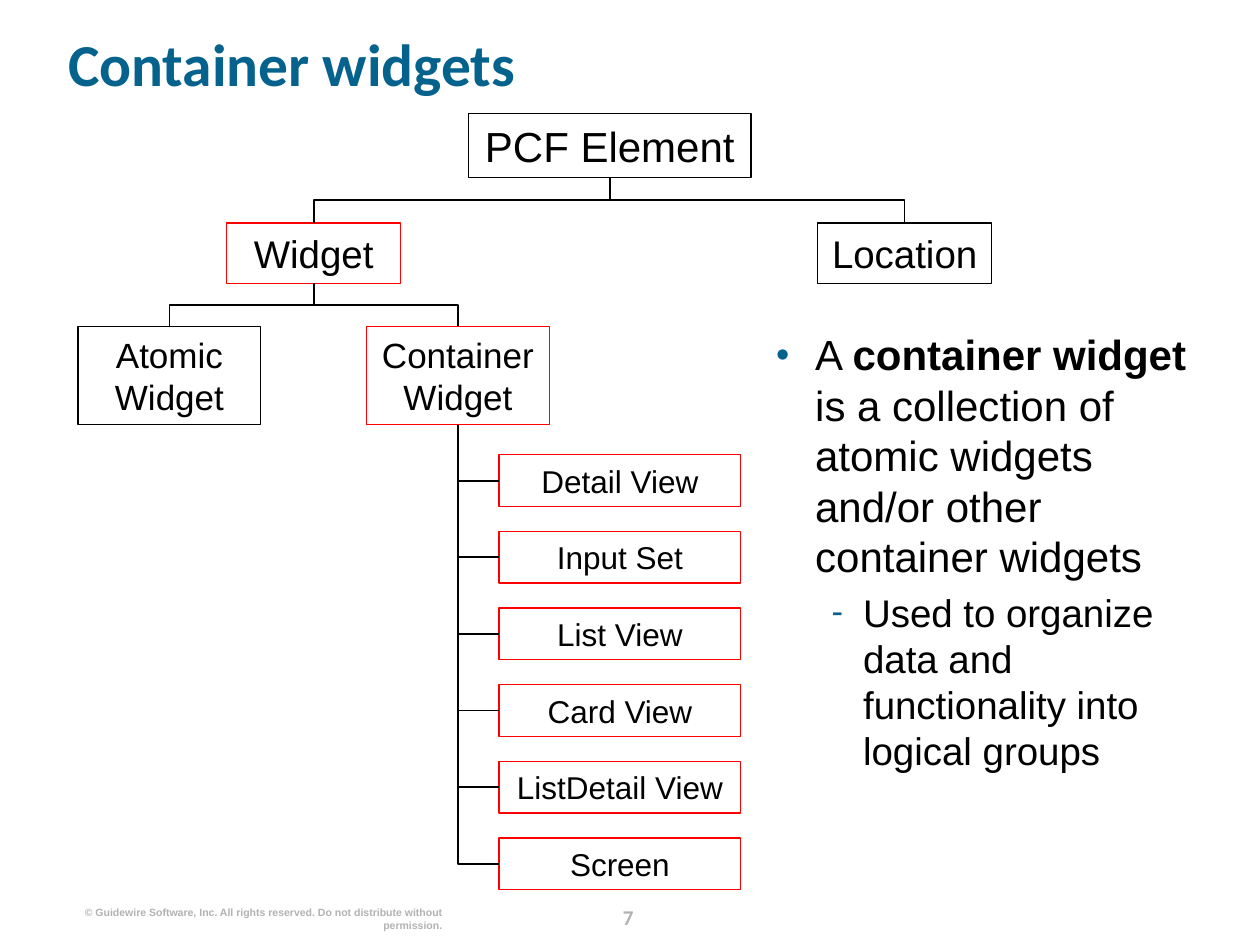
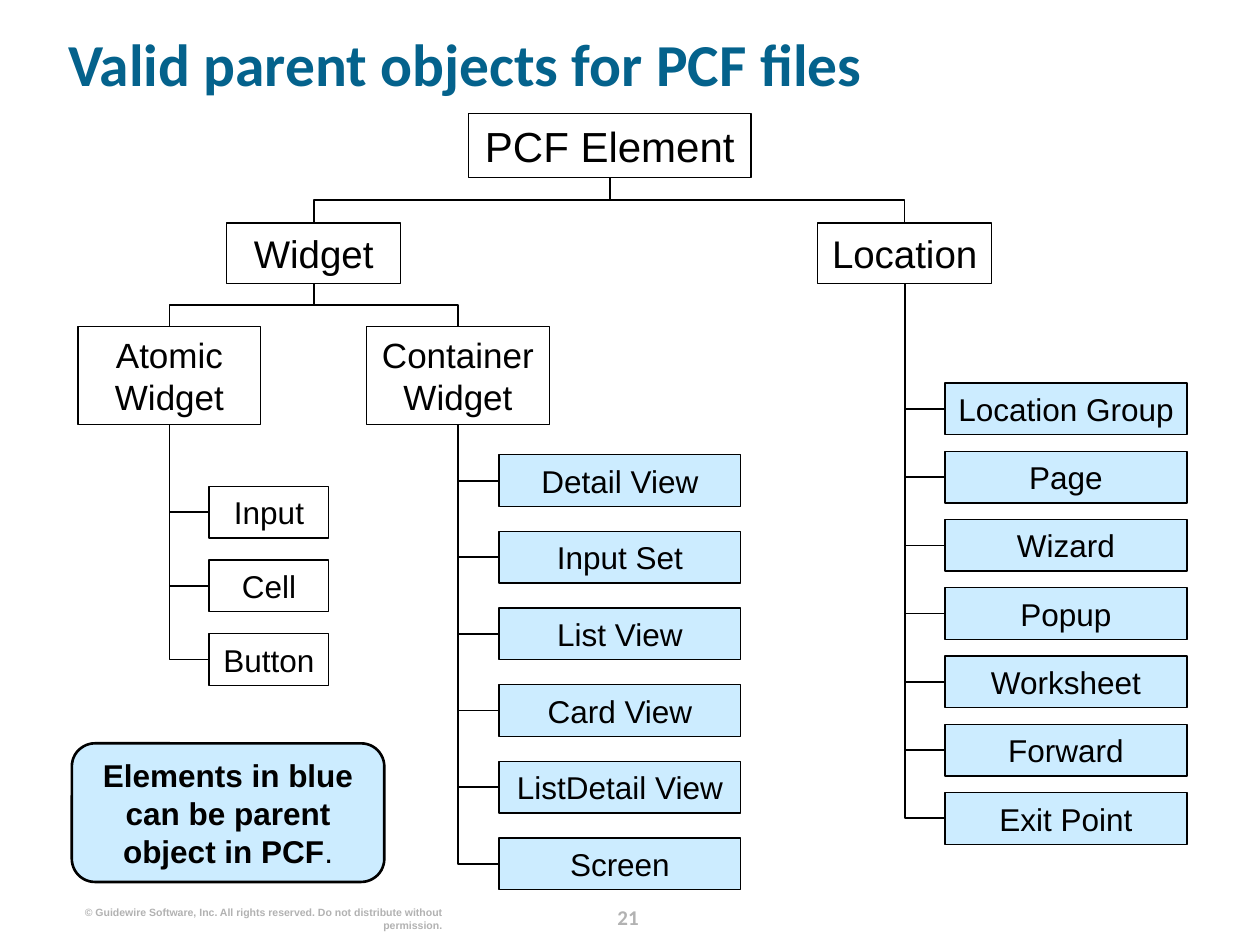
from dataclasses import dataclass

from lxml import etree
from pptx import Presentation
from pptx.dml.color import RGBColor
from pptx.enum import shapes, text
from pptx.oxml import ns
from pptx.util import Inches, Pt

BLACK, RED, TEAL, GREY, PALE_BLUE = "000000", "FF0000", "04628C", "B2B2B2", "CCECFF"
BODY_FONT, HEADING_FONT = "Arial", "Calibri"
COPYRIGHT = "© Guidewire Software, Inc. All rights reserved. Do not distribute without permission."
BOTTOM, LEFT_SIDE, TOP = 2, 1, 0  # connection sites of a rectangle


@dataclass(frozen=True)
class Box:
    left: float
    top: float
    width: float
    height: float

    def emu(self):
        return [Inches(side) for side in (self.left, self.top, self.width, self.height)]


@dataclass(frozen=True)
class Node:
    label: str
    box: Box
    size: int
    parent: str = ""


@dataclass(frozen=True)
class Column:
    """Equal boxes hanging below a parent, spread evenly from first_top to last_top."""
    parent: str
    left: float
    width: float
    first_top: float
    last_top: float
    labels: tuple[str, ...]

    def nodes(self) -> list[Node]:
        pitch = (self.last_top - self.first_top) / (len(self.labels) - 1)
        return [Node(label, Box(self.left, self.first_top + i * pitch, self.width, 0.41), 18)
                for i, label in enumerate(self.labels)]


TREE = (
    Node("PCF Element", Box(3.72, 0.9, 2.24, 0.51), 24),
    Node("Widget", Box(1.8, 1.77, 1.38, 0.48), 22, "PCF Element"),
    Node("Location", Box(6.49, 1.77, 1.38, 0.48), 22, "PCF Element"),
    Node("Atomic Widget", Box(0.62, 2.59, 1.45, 0.78), 20, "Widget"),
    Node("Container Widget", Box(2.91, 2.59, 1.45, 0.78), 20, "Widget"),
)
CONTAINERS = Column("Container Widget", 3.96, 1.92, 3.61, 6.65, (
    "Detail View", "Input Set", "List View", "Card View", "ListDetail View", "Screen"))
ATOMS = Column("Atomic Widget", 1.66, 0.95, 3.86, 5.03, ("Input", "Cell", "Button"))
LOCATIONS = Column("Location", 7.5, 1.92, 3.04, 6.29, (
    "Location Group", "Page", "Wizard", "Popup", "Worksheet", "Forward", "Exit Point"))


def rgb(value: str) -> RGBColor:
    return RGBColor.from_string(value)


def add_run(paragraph, content: str, size: float, color: str = BLACK,
            bold: bool = False, font: str = BODY_FONT) -> None:
    run = paragraph.add_run()
    run.text = content
    run.font.name, run.font.size, run.font.bold = font, Pt(size), bold
    run.font.color.rgb = rgb(color)


def prepare_frame(frame, anchor=text.MSO_ANCHOR.TOP) -> None:
    """Remove the insets and wrap the text."""
    frame.margin_left = frame.margin_right = frame.margin_top = frame.margin_bottom = 0
    frame.word_wrap = True
    frame.auto_size = text.MSO_AUTO_SIZE.NONE
    frame.vertical_anchor = anchor


def place(shape, box: Box) -> None:
    shape.left, shape.top, shape.width, shape.height = box.emu()


def add_footer_text(slide, box: Box, alignment):
    frame = slide.shapes.add_textbox(*box.emu()).text_frame
    prepare_frame(frame)
    frame.paragraphs[0].alignment = alignment
    return frame.paragraphs[0]


def add_slide(presentation, layout: int, title: str, number: int):
    slide = presentation.slides.add_slide(presentation.slide_layouts[layout])
    heading = slide.shapes.title
    place(heading, Box(0.54, 0.13, 9.1, 0.81))
    prepare_frame(heading.text_frame, text.MSO_ANCHOR.MIDDLE)
    paragraph = heading.text_frame.paragraphs[0]
    paragraph.alignment = text.PP_ALIGN.LEFT
    paragraph.line_spacing = 0.9
    add_run(paragraph, title, 34, TEAL, True, HEADING_FONT)

    paragraph = add_footer_text(slide, Box(4.7, 7.13, 0.57, 0.25), text.PP_ALIGN.CENTER)
    paragraph.line_spacing = Pt(18)
    add_run(paragraph, str(number), 12, GREY, True, HEADING_FONT)
    paragraph = add_footer_text(slide, Box(0.61, 7.19, 2.9, 0.2), text.PP_ALIGN.RIGHT)
    add_run(paragraph, COPYRIGHT, 6, GREY, True)
    return slide


def add_panel(slide, kind, box: Box, line: str, weight: float, fill: str = ""):
    shape = slide.shapes.add_shape(kind, *box.emu())
    shape.shadow.inherit = False
    if fill:
        shape.fill.solid()
        shape.fill.fore_color.rgb = rgb(fill)
    else:
        shape.fill.background()
    shape.line.color.rgb = rgb(line)
    shape.line.width = Pt(weight)
    shape.text_frame.word_wrap = True
    shape.text_frame.vertical_anchor = text.MSO_ANCHOR.MIDDLE
    shape.text_frame.paragraphs[0].alignment = text.PP_ALIGN.CENTER
    return shape


def add_node(slide, node: Node, line: str = BLACK, fill: str = ""):
    shape = add_panel(slide, shapes.MSO_SHAPE.RECTANGLE, node.box, line, 0.75, fill)
    shape.text_frame.auto_size = text.MSO_AUTO_SIZE.SHAPE_TO_FIT_TEXT
    add_run(shape.text_frame.paragraphs[0], node.label, node.size)
    return shape


def connect(slide, parent, child, site: int) -> None:
    """Draw an elbow from the bottom of parent to the top or left side of child."""
    start_x, start_y = parent.left + parent.width // 2, parent.top + parent.height
    if site == TOP:
        end_x, end_y = child.left + child.width // 2, child.top
    else:
        end_x, end_y = child.left, child.top + child.height // 2
    connector = slide.shapes.add_connector(
        shapes.MSO_CONNECTOR.ELBOW, start_x, start_y, end_x, end_y)
    connector.begin_connect(parent, BOTTOM)
    connector.end_connect(child, site)
    connector.line.color.rgb = rgb(BLACK)
    connector.line.width = Pt(1)

    # The elbow leaves downwards, so its frame is a quarter turn of the area it spans.
    drop, run = end_y - start_y, abs(end_x - start_x)
    connector.left = (start_x + end_x - drop) // 2
    connector.top = (start_y + end_y - run) // 2
    connector.width, connector.height = drop, run
    properties = connector._element.spPr
    frame = properties.find(ns.qn("a:xfrm"))
    for name in ("flipH", "flipV"):
        frame.attrib.pop(name, None)
    if end_x < start_x:
        frame.set("rot", "5400000")
    else:
        frame.set("rot", "16200000")
        frame.set("flipH", "1")
    if site == LEFT_SIDE:
        properties.find(ns.qn("a:prstGeom")).set("prst", "bentConnector2")
    etree.SubElement(properties, ns.qn("a:effectLst"))


def add_tree(slide, highlighted: tuple[str, ...] = ()) -> dict:
    """Draw the top levels and return their shapes by label."""
    drawn = {}
    for node in TREE:
        drawn[node.label] = add_node(slide, node, RED if node.label in highlighted else BLACK)
        if node.parent:
            connect(slide, drawn[node.parent], drawn[node.label], TOP)
    return drawn


def add_column(slide, tree: dict, column: Column, line: str = BLACK, fill: str = "") -> None:
    for node in column.nodes():
        connect(slide, tree[column.parent], add_node(slide, node, line, fill), LEFT_SIDE)


def format_bullet(paragraph, mark: str, margin: float, hanging: float) -> None:
    properties = paragraph._p.get_or_add_pPr()
    properties.set("marL", str(Inches(margin)))
    properties.set("indent", str(-Inches(hanging)))
    color = etree.SubElement(properties, ns.qn("a:buClr"))
    etree.SubElement(color, ns.qn("a:srgbClr"), val=TEAL)
    etree.SubElement(properties, ns.qn("a:buSzPct"), val="90000")
    etree.SubElement(properties, ns.qn("a:buFont"), typeface=BODY_FONT)
    etree.SubElement(properties, ns.qn("a:buChar"), char=mark)


def build_container_slide(presentation) -> None:
    slide = add_slide(presentation, 1, "Container widgets", 7)
    body = slide.placeholders[1]
    place(body, Box(6.16, 2.61, 3.51, 4.38))
    prepare_frame(body.text_frame)
    definition = body.text_frame.paragraphs[0]
    format_bullet(definition, "•", 0.31, 0.31)
    definition.space_before = Pt(0)
    add_run(definition, "A ", 24)
    add_run(definition, "container widget", 24, bold=True)
    add_run(definition, " is a collection of atomic widgets and/or other container widgets", 24)
    purpose = body.text_frame.add_paragraph()
    purpose.level = 1
    format_bullet(purpose, "-", 0.69, 0.25)
    purpose.space_before = Pt(4.4)
    add_run(purpose, "Used to organize data and functionality into logical groups", 22)

    tree = add_tree(slide, ("Widget", "Container Widget"))
    add_column(slide, tree, CONTAINERS, RED)


def build_parent_slide(presentation) -> None:
    slide = add_slide(presentation, 5, "Valid parent objects for PCF files", 21)
    tree = add_tree(slide)
    add_column(slide, tree, ATOMS)
    add_column(slide, tree, CONTAINERS, fill=PALE_BLUE)
    add_column(slide, tree, LOCATIONS, fill=PALE_BLUE)

    legend = add_panel(slide, shapes.MSO_SHAPE.ROUNDED_RECTANGLE,
                       Box(0.57, 5.9, 2.48, 1.1), BLACK, 1.5, PALE_BLUE)
    paragraph = legend.text_frame.paragraphs[0]
    add_run(paragraph, "Elements in blue can be parent object in PCF", 18, bold=True)
    add_run(paragraph, ".", 18)


def main() -> None:
    presentation = Presentation()
    presentation.slide_width, presentation.slide_height = Inches(10), Inches(7.5)
    build_container_slide(presentation)
    build_parent_slide(presentation)
    presentation.save("out.pptx")


if __name__ == "__main__":
    main()
